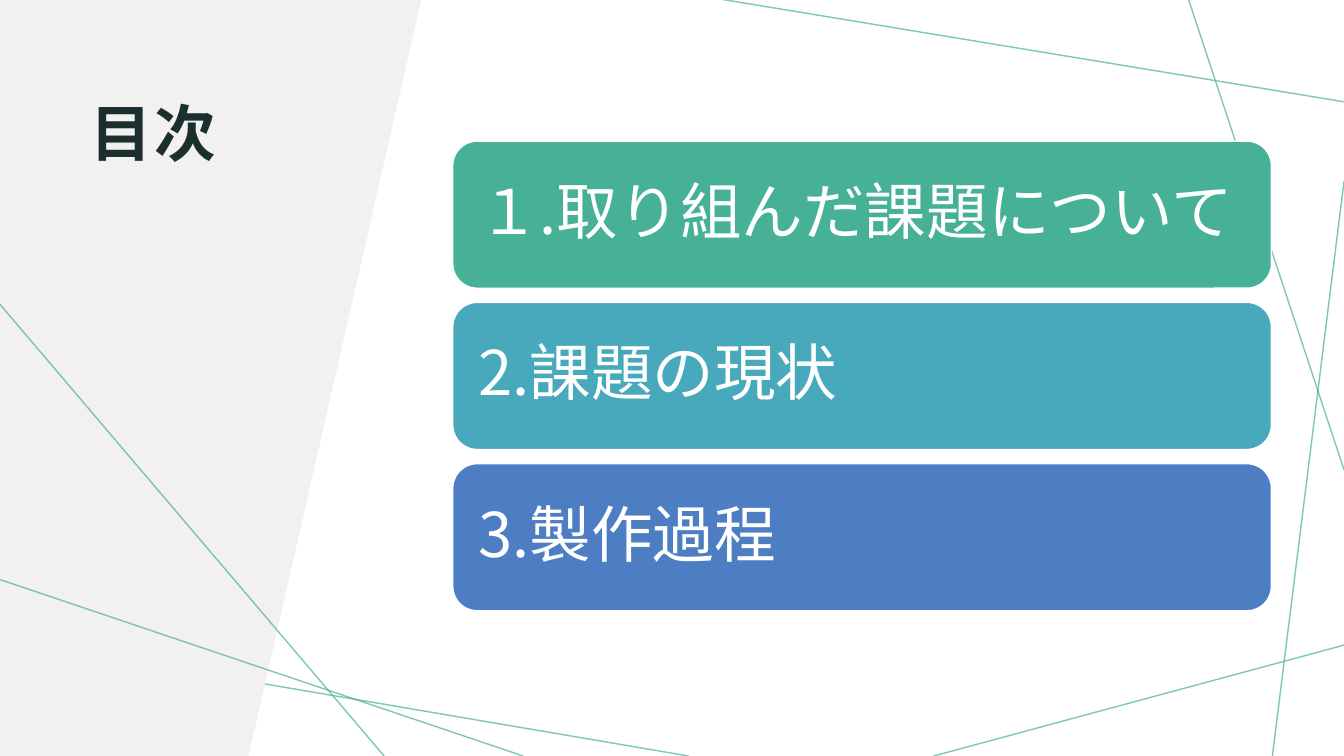
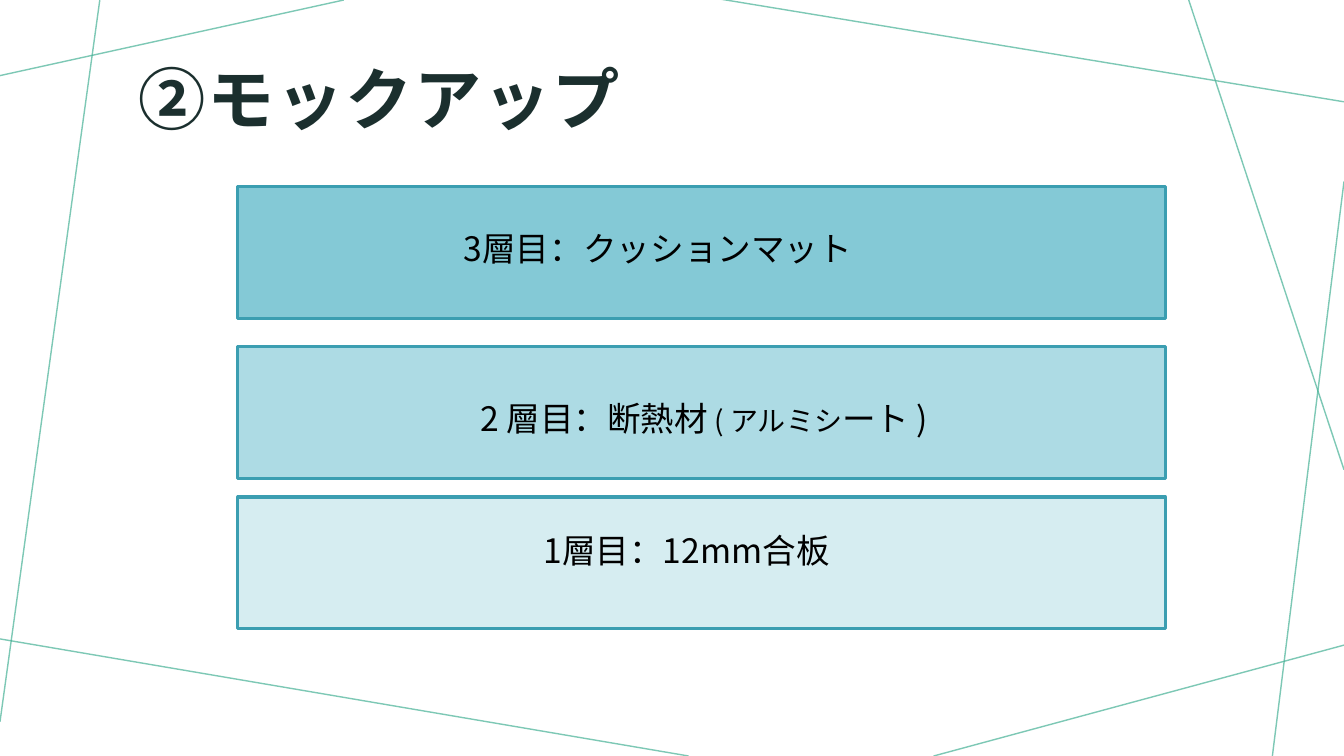
from dataclasses import dataclass

from lxml.etree import SubElement
from pptx import Presentation
from pptx.dml.color import RGBColor
from pptx.enum.shapes import MSO_CONNECTOR, MSO_SHAPE
from pptx.enum.text import MSO_ANCHOR, MSO_AUTO_SIZE, PP_ALIGN
from pptx.oxml.ns import qn
from pptx.util import Pt

PX = 9144  # EMU per px, 100 px to the inch
SLIDE_W, SLIDE_H = 1333, 750


@dataclass(frozen=True)
class Theme:
    font: str = "Noto Sans CJK JP"
    ink: str = "1B2F2E"
    black: str = "000000"
    white: str = "FFFFFF"
    panel: str = "F3F1F0"
    accent: str = "46B196"
    agenda: tuple = ("46B196", "48A9BC", "4D7EC3")
    layers: tuple = ("84C9D6", "ADDBE4", "D6EDF1")
    layer_edge: str = "3B9EB1"
    agenda_size: int = 44
    layer_size: int = 24
    note_size: int = 20


THEME = Theme()

# Thin lines behind every slide: x1, y1, x2, y2
FRAME_LINES = [
    (341, 0, 0, 75),
    (99, 0, 0, 716),
    (683, 750, -5, 633),
    (1333, 640, 926, 750),
    (1333, 180, 1262, 750),
    (1333, 466, 1179, 0),
    (1333, 101, 714, -1),
]
PANEL_LINES = [(0, 302, 381, 750), (519, 750, 0, 575)]

AGENDA = ["１.取り組んだ課題について", "2.課題の現状", "3.製作過程"]

# Top of the layer, its label's box inside the layer, and the label's runs
LAYERS = [
    (0, (17, 36, 799, 74), [("3層目：クッションマット", THEME.layer_size)]),
    (159, (23, 46, 879, 74), [("2 層目：断熱材", THEME.layer_size),
                              (" ( アルミシ", THEME.note_size),
                              ("ート )", THEME.layer_size)]),
    (308, (143, 28, 604, 74), [("1層目：12mm合板", THEME.layer_size)]),
]


def emu(*lengths):
    return [length * PX for length in lengths]


def rgb(color):
    return RGBColor.from_string(color)


def style_run(run, size, color, bold=False):
    run.font.size, run.font.bold = Pt(size), bold
    run.font.color.rgb = rgb(color)
    run.font.name = THEME.font
    SubElement(run.font._element, qn("a:ea")).set("typeface", THEME.font)


def set_insets(frame, left, top, right, bottom):
    frame.margin_left, frame.margin_top, frame.margin_right, frame.margin_bottom = emu(
        left, top, right, bottom)


def add_box(slide, preset, box, fill, edge, edge_width):
    shape = slide.shapes.add_shape(preset, *emu(*box))
    shape.shadow.inherit = False
    shape.fill.solid()
    shape.fill.fore_color.rgb = rgb(fill)
    shape.line.color.rgb = rgb(edge)
    shape.line.width = Pt(edge_width)
    return shape


def add_thin_line(slide, ends):
    line = slide.shapes.add_connector(MSO_CONNECTOR.STRAIGHT, *emu(*ends))
    line.line.color.rgb = rgb(THEME.accent)
    line.line.width = Pt(1)
    SubElement(line.element.xpath(".//a:srgbClr")[0], qn("a:alpha")).set("val", "70000")
    SubElement(line.element.spPr, qn("a:effectLst"))
    return line


def share_frame_lines(slide, layout):
    """Move the frame lines into the layout, so that every slide shows them."""
    for number, ends in enumerate(FRAME_LINES, start=101):
        line = add_thin_line(slide, ends)
        line.element.xpath(".//p:cNvPr")[0].set("id", str(number))
        layout.shapes.element.append(line.element)


def set_title(slide, text, box, size):
    title = slide.shapes.title
    title.left, title.top, title.width, title.height = emu(*box)
    frame = title.text_frame
    frame.text = text
    frame.word_wrap, frame.auto_size = True, MSO_AUTO_SIZE.NONE
    frame.vertical_anchor = MSO_ANCHOR.TOP
    set_insets(frame, 12, 12, 12, 10)
    heading = frame.paragraphs[0]
    heading.alignment, heading.line_spacing = PP_ALIGN.LEFT, 1.05
    for run in heading.runs:
        style_run(run, size, THEME.ink, bold=True)
        run.font._element.set("spc", "140")


def add_side_panel(slide):
    outline = slide.shapes.build_freeform(0, -1, scale=PX)
    outline.add_line_segments([(418, -1), (246, 752), (0, 754)], close=True)
    panel = outline.convert_to_shape()
    panel.shadow.inherit = False
    panel.fill.solid()
    panel.fill.fore_color.rgb = rgb(THEME.panel)
    panel.line.fill.background()
    # Behind the title
    slide.shapes.element.insert(2, panel.element)
    for ends in PANEL_LINES:
        add_thin_line(slide, ends)


def add_agenda(slide, left, top, width, height, gap=14):
    card_height = (height - gap * (len(AGENDA) - 1)) // len(AGENDA)
    for index, (topic, color) in enumerate(zip(AGENDA, THEME.agenda)):
        card_top = top + index * (card_height + gap)
        card = add_box(slide, MSO_SHAPE.ROUNDED_RECTANGLE,
                       (left, card_top, width, card_height), color, THEME.white, 1)
        frame = card.text_frame
        frame.text = topic
        frame.word_wrap = True
        frame.vertical_anchor = MSO_ANCHOR.MIDDLE
        set_insets(frame, 18, 18, 18, 18)
        entry = frame.paragraphs[0]
        entry.alignment, entry.line_spacing = PP_ALIGN.LEFT, 0.9
        style_run(entry.runs[0], THEME.agenda_size, THEME.white)


def add_layers(slide, left, top, width, layer_height):
    for (offset, label_box, parts), color in zip(LAYERS, THEME.layers):
        layer_top = top + offset
        add_box(slide, MSO_SHAPE.RECTANGLE, (left, layer_top, width, layer_height),
                color, THEME.layer_edge, 2.25)
        dx, dy, label_width, label_height = label_box
        label = slide.shapes.add_textbox(
            *emu(left + dx, layer_top + dy, label_width, label_height))
        label.text_frame.word_wrap = True
        caption = label.text_frame.paragraphs[0]
        caption.alignment = PP_ALIGN.CENTER
        for text, size in parts:
            run = caption.add_run()
            run.text = text
            style_run(run, size, THEME.black)


def build_contents(slide):
    add_side_panel(slide)
    set_title(slide, "目次", (78, 78, 270, 203), 44)
    add_agenda(slide, 449, 140, 812, 466)


def build_mockup(slide):
    set_title(slide, "②モックアップ", (125, 41, 1083, 125), 48)
    add_layers(slide, 236, 185, 920, 131)


def main():
    deck = Presentation()
    deck.slide_width, deck.slide_height = emu(SLIDE_W, SLIDE_H)
    layout = deck.slide_layouts[5]  # title only
    contents, mockup = (deck.slides.add_slide(layout) for _ in range(2))
    share_frame_lines(contents, layout)
    build_contents(contents)
    build_mockup(mockup)
    deck.save("out.pptx")


if __name__ == "__main__":
    main()
